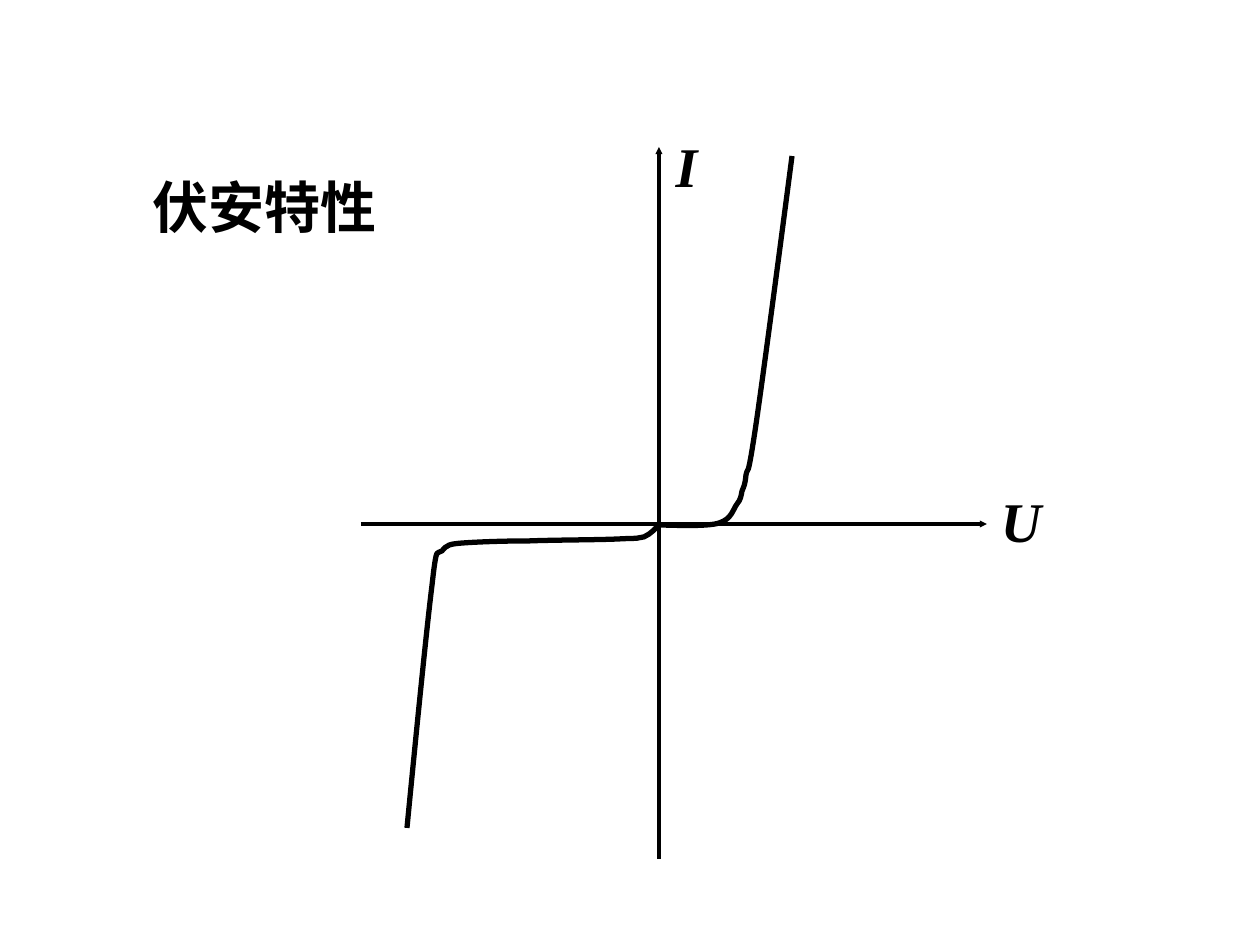
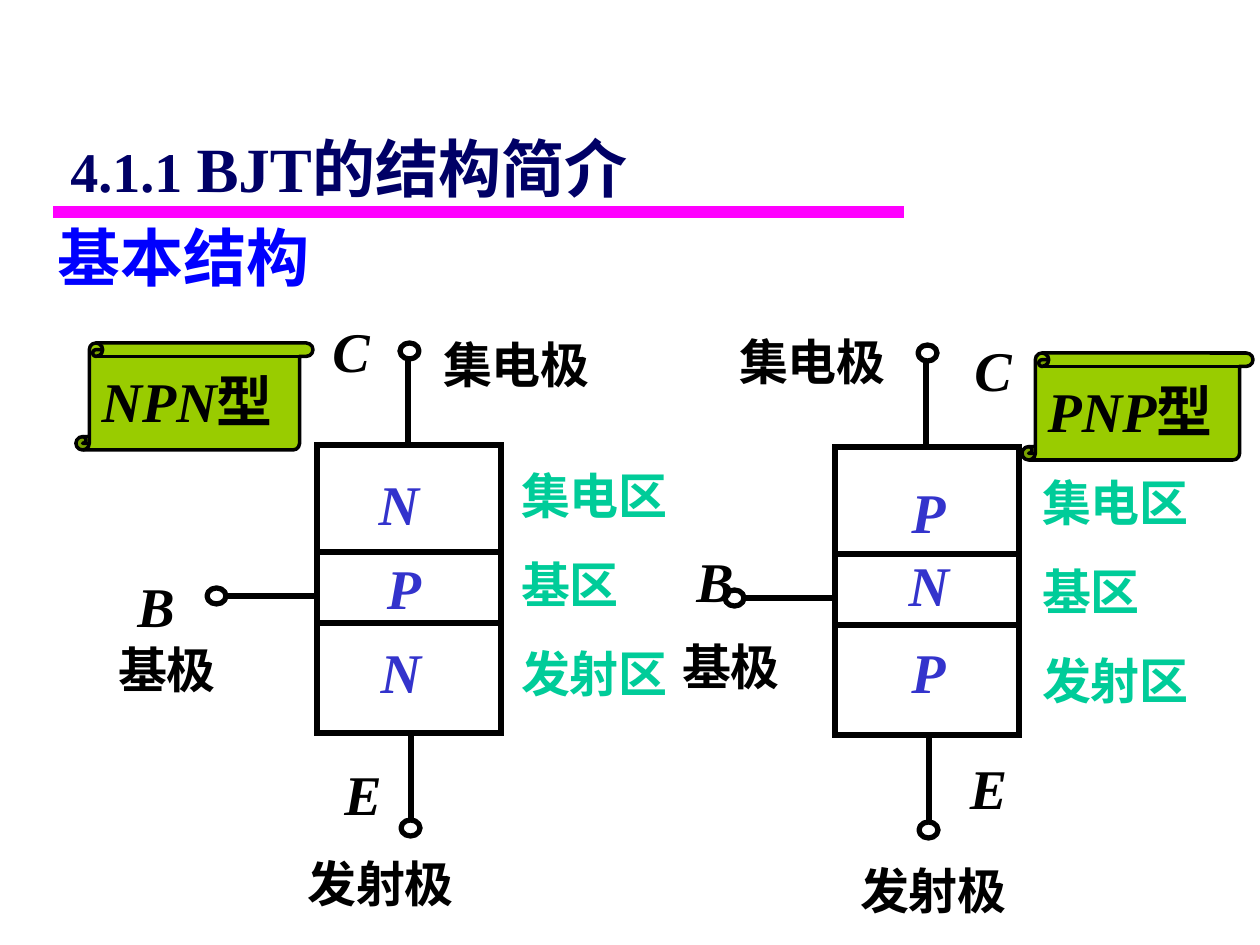
from lxml import etree
from pptx import Presentation
from pptx.dml.color import RGBColor
from pptx.enum.shapes import MSO_CONNECTOR, MSO_SHAPE
from pptx.enum.text import MSO_ANCHOR, MSO_AUTO_SIZE, PP_ALIGN
from pptx.oxml.ns import qn
from pptx.util import Pt

STRAIGHT = MSO_CONNECTOR.STRAIGHT
RECTANGLE, ELLIPSE, SCROLL = MSO_SHAPE.RECTANGLE, MSO_SHAPE.OVAL, MSO_SHAPE.VERTICAL_SCROLL
LEFT, CENTER = PP_ALIGN.LEFT, PP_ALIGN.CENTER
TOP, MIDDLE = MSO_ANCHOR.TOP, MSO_ANCHOR.MIDDLE
FIT_SHAPE = MSO_AUTO_SIZE.SHAPE_TO_FIT_TEXT

PX = 914400 / 126
SLIDE_SIZE = (1260, 945)
SANS, SERIF = "Noto Sans CJK SC", "Times New Roman"
BLACK, NAVY, BLUE, MAGENTA = "000000", "000066", "0000FF", "FF00FF"
LAYER_BLUE, REGION_GREEN, SCROLL_GREEN = "3333CC", "00CC99", "99CC00"
BOX_HEIGHTS = {28: 72, 32: 81, 36: 88}  # by text size

# Volt-ampere characteristic: axes (tail, tip), labels, Bézier control points
AXES = [((659, 859), (659, 147)), ((361, 524), (987, 524))]
AXIS_LABELS = [("I", 659, 125, 55), ("U", 942, 480, 158)]
FORWARD_CURVE = [
    (659, 525), (669, 525), (707, 527), (719, 523), (732, 519), (733, 509), (737, 504),
    (741, 499), (741, 496), (742, 491), (744, 486), (745, 485), (746, 475),
    (748, 465), (747, 484), (755, 431), (763, 378), (786, 202), (792, 156),
]
REVERSE_CURVE = [
    (659, 525), (656, 528), (651, 534), (644, 537), (638, 539), (638, 538), (619, 539),
    (599, 540), (554, 540), (529, 541), (503, 541), (478, 542), (464, 543),
    (449, 544), (447, 545), (442, 551), (437, 556), (437, 541), (432, 586),
    (426, 633), (412, 777), (407, 828),
]

# Transistor symbol, shared by both types and shifted for the second
LAYER_LEFT, LAYER_WIDTH = 317, 184
LAYER_ROWS = [(445, 107), (552, 71), (623, 110)]
LEADS = [((408, 445), (408, 360)), ((411, 736), (411, 820)), ((318, 596), (223, 596))]
TERMINALS = [(400, 343), (401, 820), (207, 588)]
TERMINAL_SIZE = (19, 16)
REGIONS = [("集电区", 175), ("基区", 126), ("发射区", 175)]
REGION_STEP = 89

# Labels are (text, left, top, width)
TRANSISTORS = [
    {
        "type": "NPN", "shift": (0, 0), "scroll": (76, 343, 237, 107),
        "layers": [("N", 366, 463, 66), ("P", 371, 547, 66), ("N", 368, 631, 66)],
        "letters": [("B", 125, 565, 62), ("E", 332, 753, 62), ("C", 320, 310, 62)],
        "electrodes": [("集电极", 429, 328, 175), ("基极", 104, 633, 126),
                       ("发射极", 293, 847, 175)],
        "regions": (507, 459),
    },
    {
        "type": "PNP", "shift": (518, 2), "scroll": (1022, 353, 231, 107),
        "layers": [("P", 899, 471, 59), ("N", 896, 544, 66), ("P", 899, 631, 59)],
        "letters": [("B", 684, 540, 62), ("E", 930, 747, 117), ("C", 944, 329, 98)],
        "electrodes": [("集电极", 725, 325, 175), ("基极", 668, 630, 126),
                       ("发射极", 846, 854, 175)],
        "regions": (1028, 466),
    },
]


def emu(*lengths):
    return [round(length * PX) for length in lengths]


def rgb(color):
    return RGBColor.from_string(color)


def write(shape, runs, size=32, color=BLACK, font=SERIF, italic=False,
          align=CENTER, anchor=MIDDLE, wrap=False):
    """Fill a shape with bold runs, each a string or (string, overrides)."""
    frame = shape.text_frame
    frame.word_wrap = wrap
    frame.auto_size = FIT_SHAPE
    frame.vertical_anchor = anchor
    paragraph = frame.paragraphs[0]
    paragraph.alignment = align
    for item in [runs] if isinstance(runs, str) else runs:
        text, changes = (item, {}) if isinstance(item, str) else item
        run = paragraph.add_run()
        run.text = text
        run.font.size = Pt(changes.get("size", size))
        run.font.italic = changes.get("italic", italic)
        run.font.bold = True
        run.font.name = font
        run.font.color.rgb = rgb(color)
        properties = run.font._element
        etree.SubElement(properties, qn("a:ea")).set("typeface", SANS)


def add_text(slide, runs, left, top, width, **style):
    height = BOX_HEIGHTS[style.get("size", 32)]
    write(slide.shapes.add_textbox(*emu(left, top, width, height)), runs, **style)


def outline(shape, weight, fill=None):
    shape.shadow.inherit = False
    if fill:
        shape.fill.solid()
        shape.fill.fore_color.rgb = rgb(fill)
    else:
        shape.fill.background()
    shape.line.color.rgb = rgb(BLACK)
    shape.line.width = Pt(weight)


def add_outlined(slide, kind, left, top, width, height, weight=3, fill=None):
    shape = slide.shapes.add_shape(kind, *emu(left, top, width, height))
    outline(shape, weight, fill)
    if kind == RECTANGLE:  # sharp corners
        line = shape._element.spPr.find(qn("a:ln"))
        etree.SubElement(line, qn("a:miter")).set("lim", "800000")
    return shape


def add_line(slide, start, end, weight=3, color=BLACK, arrow=False, square=False):
    connector = slide.shapes.add_connector(STRAIGHT, *emu(*start, *end))
    connector.line.color.rgb = rgb(color)
    connector.line.width = Pt(weight)
    properties = connector._element.spPr
    line = properties.find(qn("a:ln"))
    if arrow:
        etree.SubElement(line, qn("a:tailEnd"), type="triangle", w="sm", len="sm")
    if square:
        line.set("cap", "sq")
    etree.SubElement(properties, qn("a:effectLst"))


def add_curve(slide, points):
    """Draw the control points as line segments, then join each three into a Bézier."""
    start, *controls = [emu(*point) for point in points]
    builder = slide.shapes.build_freeform(*start)
    builder.add_line_segments(controls, close=False)
    shape = builder.convert_to_shape()
    segments = list(shape._element.iter(qn("a:lnTo")))
    for first in range(0, len(segments), 3):
        curve = etree.Element(qn("a:cubicBezTo"))
        segments[first].addprevious(curve)
        for segment in segments[first:first + 3]:
            curve.append(segment[0])
            segment.getparent().remove(segment)
    outline(shape, 3)


def add_transistor(slide, transistor):
    dx, dy = transistor["shift"]

    # Layers, leads and terminals
    for top, height in LAYER_ROWS:
        add_outlined(slide, RECTANGLE, LAYER_LEFT + dx, top + dy, LAYER_WIDTH, height)
    for lead in LEADS:
        add_line(slide, *((x + dx, y + dy) for x, y in lead))
    for left, top in TERMINALS:
        add_outlined(slide, ELLIPSE, left + dx, top + dy, *TERMINAL_SIZE)

    # Layer, terminal and electrode labels
    for label in transistor["layers"]:
        add_text(slide, *label, color=LAYER_BLUE, italic=True)
    for label in transistor["letters"]:
        add_text(slide, *label, italic=True)
    for label in transistor["electrodes"]:
        add_text(slide, *label, size=28)

    # Type scroll
    scroll = add_outlined(slide, SCROLL, *transistor["scroll"], weight=2, fill=SCROLL_GREEN)
    write(scroll, [transistor["type"], ("型", {"italic": False})], italic=True, align=LEFT)

    # Region names
    left, top = transistor["regions"]
    for row, (region, width) in enumerate(REGIONS):
        add_text(slide, region, left, top + row * REGION_STEP, width,
                 size=28, color=REGION_GREEN)


def build_characteristic(slide):
    add_text(slide, "伏安特性", 140, 166, 508, font=SANS, align=LEFT, wrap=True)
    for tail, tip in AXES:
        add_line(slide, tail, tip, weight=2, arrow=True)
    for curve in (FORWARD_CURVE, REVERSE_CURVE):
        add_curve(slide, curve)
    for label in AXIS_LABELS:
        add_text(slide, *label, italic=True)


def build_structure(slide):
    add_text(slide, "基本结构", 45, 212, 490, size=36, color=BLUE, font=SANS,
             align=LEFT, wrap=True)
    for transistor in TRANSISTORS:
        add_transistor(slide, transistor)
    add_line(slide, (59, 212), (898, 212), weight=7, color=MAGENTA, square=True)
    add_text(slide, [("4.1.1 ", {"size": 32}), "BJT的结构简介"], 58, 123, 861,
             size=36, color=NAVY, align=LEFT, anchor=TOP, wrap=True)


def main():
    presentation = Presentation()
    presentation.slide_width, presentation.slide_height = emu(*SLIDE_SIZE)
    blank = presentation.slide_layouts[6]
    for build in (build_characteristic, build_structure):
        build(presentation.slides.add_slide(blank))
    presentation.save("out.pptx")


if __name__ == "__main__":
    main()
